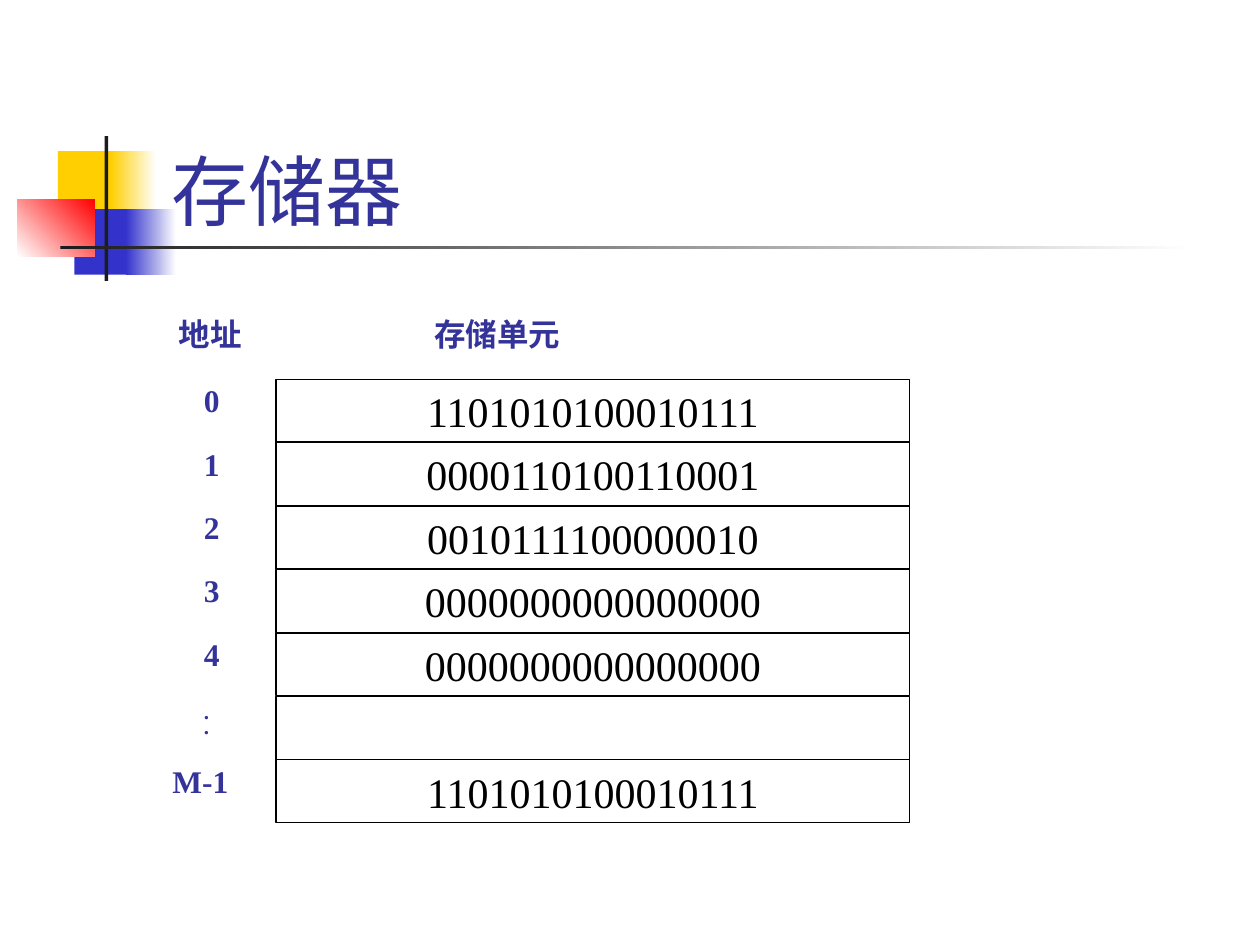
from pptx import Presentation
from pptx.dml.color import RGBColor
from pptx.enum import shapes, text
from pptx.util import Inches, Pt

INDIGO = RGBColor(0x33, 0x33, 0x99)
YELLOW = RGBColor(0xFF, 0xCF, 0x01)
BLUE = RGBColor(0x33, 0x33, 0xCC)
RED = RGBColor(0xFF, 0x00, 0x00)
DARK = RGBColor(0x1C, 0x1C, 0x1C)
WHITE = RGBColor(0xFF, 0xFF, 0xFF)
BLACK = RGBColor(0x00, 0x00, 0x00)
SERIF = "Times New Roman"

TITLE = "存储器"
HEADINGS = [("地址", 1.32), ("存储单元", 3.35)]
# address, left edge of its label, stored word
MEMORY = [
    ("0", 1.52, "1101010100010111"),
    ("1", 1.52, "0000110100110001"),
    ("2", 1.52, "0010111100000010"),
    ("3", 1.52, "0000000000000000"),
    ("4", 1.52, "0000000000000000"),
    (".\n.", 1.52, ""),
    ("M-1", 1.27, "1101010100010111"),
]
# left, top, width, height, colours (two make a gradient), angle
DECORATION = [
    (0.46, 1.2, 0.48, 0.52, [YELLOW], 0),
    (0.88, 1.2, 0.36, 0.52, [YELLOW, WHITE], 0),
    (0.59, 1.66, 0.46, 0.52, [BLUE], 0),
    (1, 1.66, 0.4, 0.52, [BLUE, WHITE], 0),
    (0.14, 1.58, 0.61, 0.46, [WHITE, RED], 45),
    (0.83, 1.08, 0.03, 1.15, [DARK], 0),
    (0.48, 1.95, 9, 0.03, [DARK, WHITE], 0),
]
CELL_LEFT, CELL_TOP, CELL_WIDTH, CELL_HEIGHT = 2.19, 3.01, 5.03, 0.5
ROW_STEP = 3.02 / 6

TITLE_FONT = dict(name="Cabin", size=Pt(44), bold=False)
LABEL_FONT = dict(name=SERIF, size=Pt(18), bold=True)
DOT_FONT = dict(name=SERIF, size=Pt(12), bold=True)
WORD_FONT = dict(name=SERIF, size=Pt(24), bold=False)


def write(tf, content, font, color, **layout):
    """Fill a text frame, one paragraph a line, with one font and layout."""
    tf.text = content
    for p in tf.paragraphs:
        for name, value in layout.items():
            setattr(p, name, value)
        for r in p.runs:
            for name, value in font.items():
                setattr(r.font, name, value)
            r.font.color.rgb = color


def add_rect(s, left, top, width, height):
    sp = s.shapes.add_shape(shapes.MSO_SHAPE.RECTANGLE, Inches(left),
                            Inches(top), Inches(width), Inches(height))
    sp.shadow.inherit = False
    return sp


def add_label(s, content, left, top, width, font=LABEL_FONT, **layout):
    sp = s.shapes.add_textbox(Inches(left), Inches(top),
                              Inches(width), Inches(0.37))
    sp.text_frame.word_wrap = True
    write(sp.text_frame, content, font, INDIGO, **layout)


def add_decoration(s):
    for *box, colors, angle in DECORATION:
        sp = add_rect(s, *box)
        sp.line.fill.background()
        if len(colors) == 1:
            sp.fill.solid()
            sp.fill.fore_color.rgb = colors[0]
            continue
        sp.fill.gradient()
        sp.fill.gradient_angle = angle
        for stop, color in zip(sp.fill.gradient_stops, colors):
            stop.color.rgb = color


def add_title(s):
    title = s.shapes.title
    title.left, title.top = Inches(1.26), Inches(0.67)
    title.width, title.height = Inches(8.52), Inches(1.25)
    title.text_frame.vertical_anchor = text.MSO_ANCHOR.BOTTOM
    write(title.text_frame, TITLE, TITLE_FONT, INDIGO,
          alignment=text.PP_ALIGN.LEFT)


def add_memory(s):
    for heading, left in HEADINGS:
        add_label(s, heading, left, 2.45, 2)
    for i, (address, left, word) in enumerate(MEMORY):
        top = CELL_TOP + i * ROW_STEP
        cell = add_rect(s, CELL_LEFT, top, CELL_WIDTH, CELL_HEIGHT)
        cell.fill.solid()
        cell.fill.fore_color.rgb = WHITE
        cell.line.color.rgb = BLACK
        cell.line.width = Pt(0.75)
        if word:
            cell.text_frame.word_wrap = False
            cell.text_frame.vertical_anchor = text.MSO_ANCHOR.MIDDLE
            write(cell.text_frame, word, WORD_FONT, BLACK,
                  alignment=text.PP_ALIGN.CENTER)
        width = CELL_LEFT - left
        if "\n" in address:
            add_label(s, address, left, top + 0.04, width, DOT_FONT,
                      line_spacing=Pt(9))
        else:
            add_label(s, address, left, top, width, line_spacing=0.9)


def main():
    prs = Presentation()
    prs.slide_width, prs.slide_height = Inches(10), Inches(7.5)
    s = prs.slides.add_slide(prs.slide_layouts[5])
    add_decoration(s)
    add_title(s)
    add_memory(s)
    prs.save("out.pptx")


if __name__ == "__main__":
    main()
